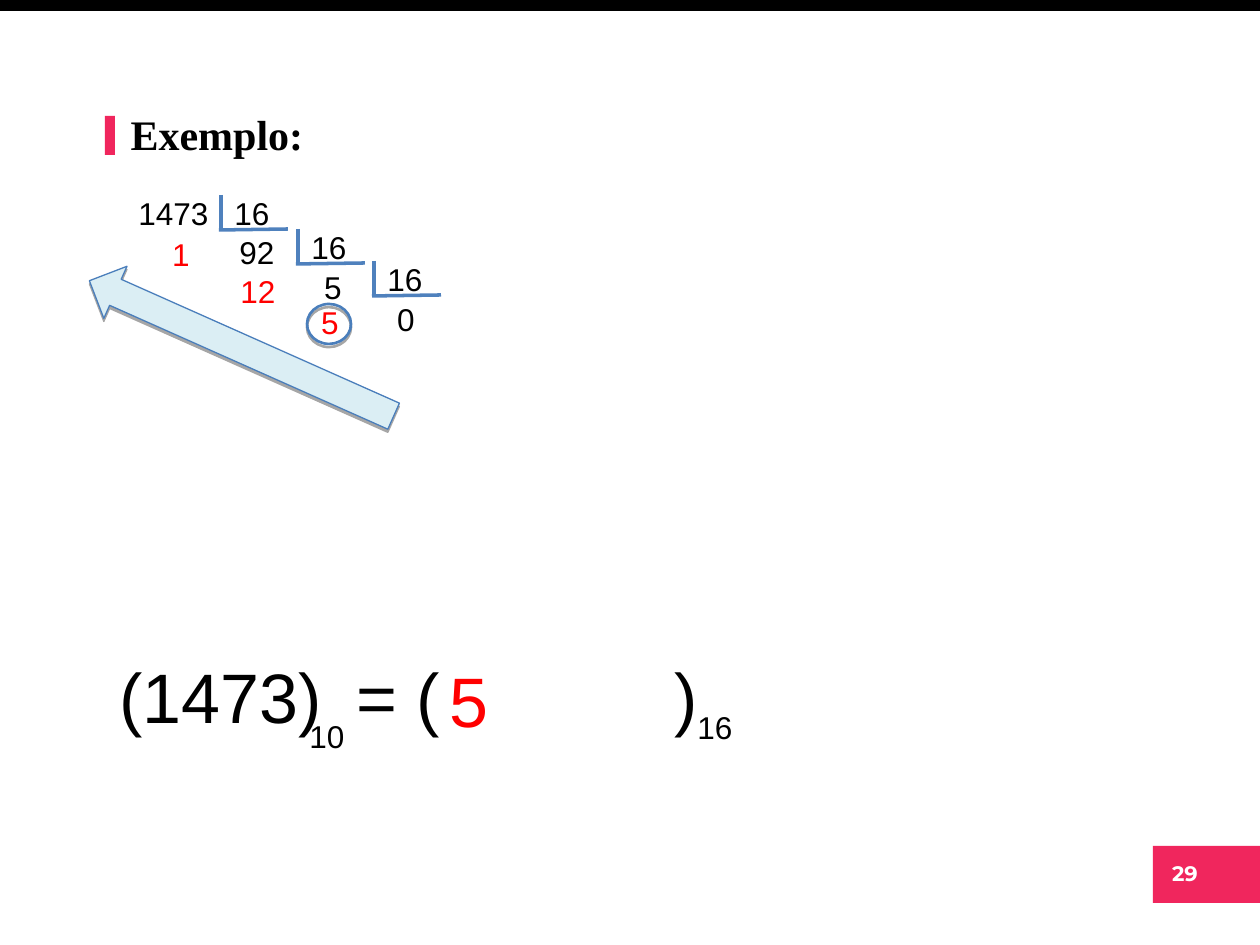
import pptx
import pptx.util
import pptx.dml.color
import pptx.enum.shapes
import pptx.enum.text
import pptx.oxml
import pptx.oxml.ns
from dataclasses import dataclass

SHAPE = pptx.enum.shapes.MSO_SHAPE
ALIGN = pptx.enum.text.PP_ALIGN
RGB = pptx.dml.color.RGBColor.from_string
NS = pptx.oxml.ns.nsdecls("a")
SCALE = 914400 / 126


@dataclass
class Theme:
    black: str = "000000"
    white: str = "FFFFFF"
    pink: str = "F0265D"
    red: str = "FF0000"
    pale: str = "DBEEF4"
    edge: str = "4A7EBB"
    rule: str = "4F81BD"
    font: str = "Arial"
    small: int = 12
    base: int = 18
    head: int = 24
    big: int = 40


theme = Theme()


def px(*nums):
    return [pptx.util.Emu(round(n * SCALE)) for n in nums]


def text(words, area, size=theme.base, color=theme.black, font=theme.font,
         bold=False, align=ALIGN.LEFT, box=None):
    """Fill the given box, or a new text box, with one formatted line."""
    box = box or slide.shapes.add_textbox(*px(*area))
    box.left, box.top, box.width, box.height = px(*area)
    box.text_frame.word_wrap = True
    para = box.text_frame.paragraphs[0]
    para.text = words
    para.alignment = align
    para.space_before = pptx.util.Pt(0)
    props = para._p.get_or_add_pPr()
    props.set("marL", "0")
    props.set("indent", "0")
    props.append(pptx.oxml.parse_xml(f"<a:buNone {NS}/>"))
    face = para.runs[0].font
    face.name, face.size, face.bold = font, pptx.util.Pt(size), bold
    face.color.rgb = RGB(color)


deck = pptx.Presentation()
deck.slide_width, deck.slide_height = px(1260, 945)
slide = deck.slides.add_slide(deck.slide_layouts[1])
title = slide.shapes.title
title._element.getparent().remove(title._element)

# Bars and page number
for area, color in [
    ((0, 0, 1260, 11), theme.black),
    ((1153, 846, 108, 57), theme.pink),
    ((105, 116, 10, 39), theme.pink),
]:
    bar = slide.shapes.add_shape(SHAPE.RECTANGLE, *px(*area))
    bar.shadow.inherit = False
    bar.fill.solid()
    bar.fill.fore_color.rgb = RGB(color)
    bar.line.fill.background()

text("29", (1118, 854, 134, 42), size=theme.small, color=theme.white,
     font="Montserrat", bold=True, align=ALIGN.CENTER)
text("Exemplo:", (118, 102, 645, 111), size=theme.head, font="Times New Roman",
     bold=True, align=ALIGN.JUSTIFY, box=slide.placeholders[1])

# Reading arrow and ring around the last remainder
for kind, area, turn, color, width in [
    (SHAPE.LEFT_ARROW, (75, 320, 333, 57), 24, theme.pale, 0.75),
    (SHAPE.OVAL, (307, 304, 44, 40), 0, None, 1.5),
]:
    mark = slide.shapes.add_shape(kind, *px(*area))
    mark.rotation = turn
    if color:
        mark.fill.solid()
        mark.fill.fore_color.rgb = RGB(color)
    else:
        mark.fill.background()
    mark.line.color.rgb = RGB(theme.edge)
    mark.line.width = pptx.util.Pt(width)
    mark._element.spPr.append(pptx.oxml.parse_xml(
        f'<a:effectLst {NS}><a:outerShdw blurRad="0" dist="23000" dir="5400000" '
        f'rotWithShape="0"><a:srgbClr val="{theme.black}"><a:alpha val="35000"/>'
        "</a:srgbClr></a:outerShdw></a:effectLst>"))

# Division steps: each divisor in its bracket
text("1473", (126, 188, 100, 50))
for x, y in [(221, 195), (298, 229), (374, 261)]:
    text("16", (x + 1, y - 7, 66, 50))
    for ends in [(x, y, x, y + 35), (x - 2, y + 35, x + 67, y + 34)]:
        line = slide.shapes.add_connector(
            pptx.enum.shapes.MSO_CONNECTOR.STRAIGHT, *px(*ends))
        line.line.color.rgb = RGB(theme.rule)
        line.line.width = pptx.util.Pt(2)
        line._element.spPr.append(pptx.oxml.parse_xml(f"<a:effectLst {NS}/>"))

# Quotients and remainders
for words, x, y, color in [
    ("92", 224, 227, theme.black),
    ("1", 148, 229, theme.red),
    ("5", 300, 262, theme.black),
    ("12", 225, 266, theme.red),
    ("0", 373, 294, theme.black),
    ("5", 297, 297, theme.red),
]:
    text(words, (x, y, 66, 50), color=color, align=ALIGN.CENTER)

# Result
for words, x, y, width, color in [
    ("(1473)", 107, 647, 240, theme.black),
    ("= (", 344, 647, 120, theme.black),
    (")", 662, 647, 60, theme.black),
    ("5", 437, 651, 70, theme.red),
]:
    text(words, (x, y, width, 97), size=theme.big, color=color)
text("10", (297, 711, 76, 50))
text("16", (685, 702, 76, 50))

deck.save("out.pptx")
